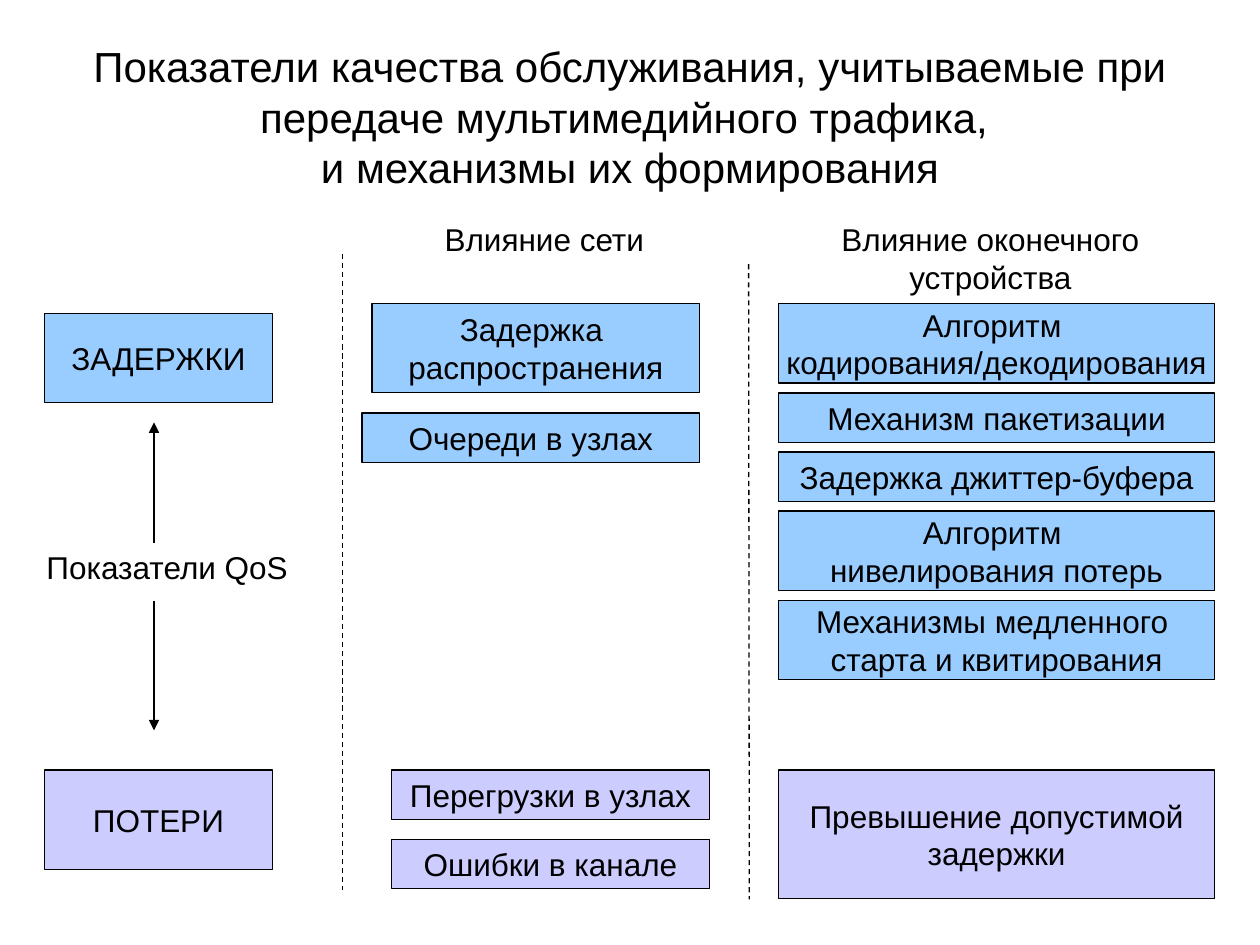
import pptx
import pptx.util
import pptx.dml.color
import pptx.enum.dml
import pptx.enum.shapes
import pptx.enum.text
import lxml.etree
from pptx.oxml.ns import qn

Pt = pptx.util.Pt
RGB = pptx.dml.color.RGBColor.from_string
ALIGN = pptx.enum.text.PP_ALIGN
C = {"text": "000000", "line": "000000", "delay": "99CCFF", "loss": "CCCCFF"}

prs = pptx.Presentation()
prs.slide_width, prs.slide_height = Pt(720), Pt(540)
s = prs.slides.add_slide(prs.slide_layouts[5])


def set_text(sp, lines, size=18, align=ALIGN.CENTER, **frame):
    """Write one paragraph per line and apply the text frame settings."""
    tf = sp.text_frame
    for name, value in frame.items():
        setattr(tf, name, value)
    for i, line in enumerate(lines):
        p = tf.paragraphs[0] if i == 0 else tf.add_paragraph()
        p.text = line
        p.alignment = align
        for r in p.runs:
            r.font.name = "Arial"
            r.font.size = Pt(size)
            r.font.color.rgb = RGB(C["text"])


def add_line(x1, y1, x2, y2):
    cn = s.shapes.add_connector(pptx.enum.shapes.MSO_CONNECTOR.STRAIGHT,
                                Pt(x1), Pt(y1), Pt(x2), Pt(y2))
    cn.line.color.rgb = RGB(C["line"])
    cn.line.width = Pt(0.75)
    lxml.etree.SubElement(cn._element.spPr, qn("a:effectLst"))
    return cn


# Title
title = s.shapes.title
title.left, title.top, title.width, title.height = Pt(36), Pt(21.5), Pt(648), Pt(90)
set_text(title, ["Показатели качества обслуживания, учитываемые при передаче "
                 "мультимедийного трафика, \vи механизмы их формирования"],
         size=24, word_wrap=True, auto_size=pptx.enum.text.MSO_AUTO_SIZE.NONE,
         vertical_anchor=pptx.enum.text.MSO_ANCHOR.MIDDLE)

# Column headings and the label of the left column
labels = [
    (247, 122.4, 128.8, 28.8, ALIGN.LEFT, ["Влияние сети"]),
    (473.5, 122.4, 185, 50.4, ALIGN.CENTER, ["Влияние оконечного", "устройства"]),
    (19.5, 309.6, 153.4, 28.8, ALIGN.LEFT, ["Показатели QoS"]),
]
for x, y, w, h, align, lines in labels:
    tb = s.shapes.add_textbox(Pt(x), Pt(y), Pt(w), Pt(h))
    set_text(tb, lines, align=align, word_wrap=False,
             auto_size=pptx.enum.text.MSO_AUTO_SIZE.SHAPE_TO_FIT_TEXT)

# Boxes: left, top, width, height, kind, lines
LOW, TALL, GAP = 28.2, 45.4, 5.6
LOSS_TOP = 440
RIGHT, RIGHT_W = 444.8, 249.4
boxes = [
    (25.4, 179.2, 130.4, 51, "delay", ["ЗАДЕРЖКИ"]),
    (25.4, LOSS_TOP, 130.4, 56.8, "loss", ["ПОТЕРИ"]),
    (212.6, 173.5, 187.2, 51, "delay", ["Задержка ", "распространения"]),
    (206.8, 236, 193, LOW, "delay", ["Очереди в узлах"]),
    (223.8, LOSS_TOP, 181.6, LOW, "loss", ["Перегрузки в узлах"]),
    (223.8, 479.6, 181.6, LOW, "loss", ["Ошибки в канале"]),
    (RIGHT, LOSS_TOP, RIGHT_W, 73.6, "loss", ["Превышение допустимой", "задержки"]),
]
device_delays = [
    ["Алгоритм ", "кодирования/декодирования"],
    ["Механизм пакетизации"],
    ["Задержка джиттер-буфера"],
    ["Алгоритм ", "нивелирования потерь"],
    ["Механизмы медленного ", "старта и квитирования"],
]
y = 173.5
for lines in device_delays:
    h = TALL if len(lines) > 1 else LOW
    boxes.append((RIGHT, y, RIGHT_W, h, "delay", lines))
    y += h + GAP

for x, y, w, h, kind, lines in boxes:
    sp = s.shapes.add_shape(pptx.enum.shapes.MSO_SHAPE.RECTANGLE,
                            Pt(x), Pt(y), Pt(w), Pt(h))
    sp.shadow.inherit = False
    sp.fill.solid()
    sp.fill.fore_color.rgb = RGB(C[kind])
    sp.line.color.rgb = RGB(C["line"])
    sp.line.width = Pt(0.75)
    set_text(sp, lines, word_wrap=False,
             vertical_anchor=pptx.enum.text.MSO_ANCHOR.MIDDLE)

# Arrows from the label to the two indicators
for y1, y2 in [(310.2, 241.4), (343.4, 417.4)]:
    arrow = add_line(88, y1, 88, y2)
    lxml.etree.SubElement(arrow.line._get_or_add_ln(), qn("a:tailEnd"), type="triangle")

# Dashed column dividers
for x1, y1, x2, y2 in [(195.6, 145.2, 195.6, 508.4), (427.8, 151, 428.2, 514)]:
    add_line(x1, y1, x2, y2).line.dash_style = pptx.enum.dml.MSO_LINE.DASH

prs.save("out.pptx")
